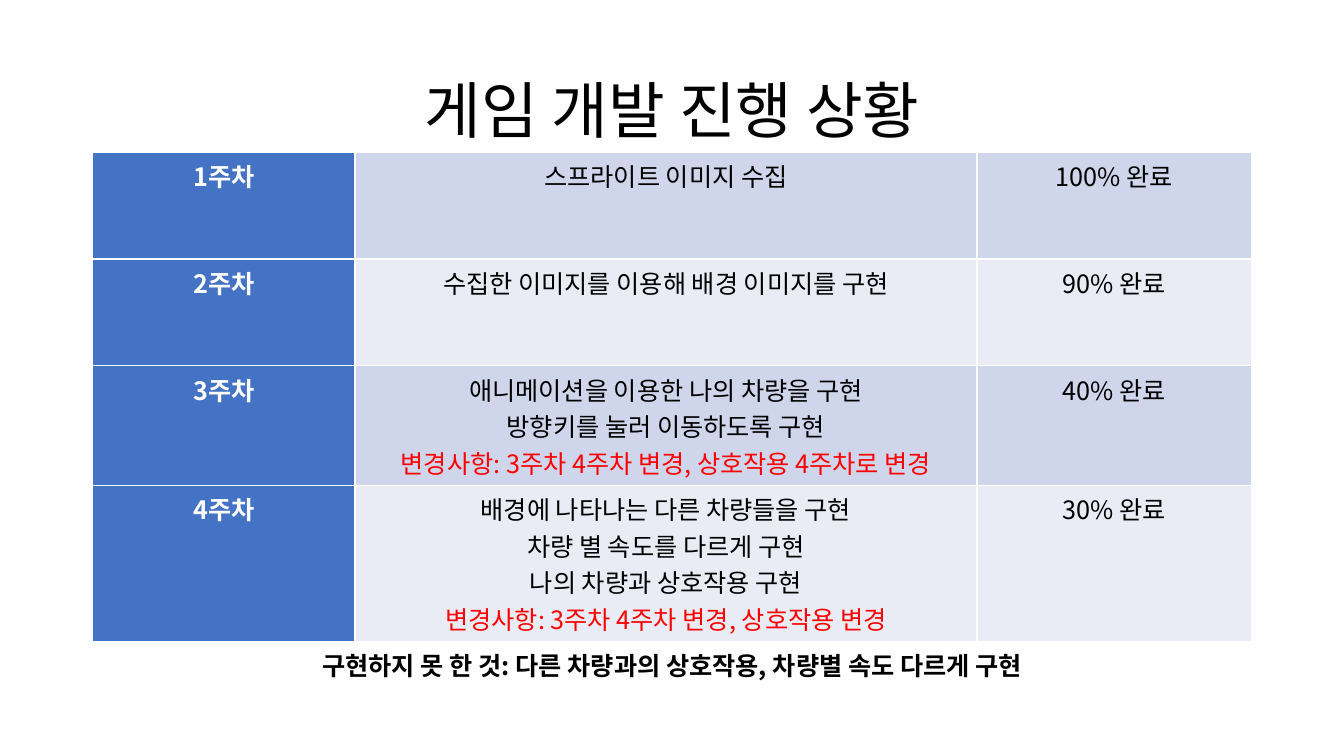
from dataclasses import dataclass

from lxml.etree import SubElement
from pptx import Presentation
from pptx.dml.color import RGBColor
from pptx.enum.text import MSO_ANCHOR, PP_ALIGN
from pptx.oxml.ns import qn
from pptx.util import Inches, Pt

FONT = "Noto Sans CJK KR"
COLORS = {
    "black": "000000",
    "white": "FFFFFF",
    "red": "FF0000",
    "header": "4472C4",
    "odd": "CFD5EA",
    "even": "E9EBF5",
}


@dataclass(frozen=True)
class Week:
    tasks: tuple[str, ...]
    progress: int
    change: str = ""


WEEKS = (
    Week(("스프라이트 이미지 수집",), 100),
    Week(("수집한 이미지를 이용해 배경 이미지를 구현",), 90),
    Week(
        ("애니메이션을 이용한 나의 차량을 구현", "방향키를 눌러 이동하도록 구현"),
        40,
        "변경사항: 3주차 4주차 변경, 상호작용 4주차로 변경",
    ),
    Week(
        ("배경에 나타나는 다른 차량들을 구현", "차량 별 속도를 다르게 구현", "나의 차량과 상호작용 구현"),
        30,
        "변경사항: 3주차 4주차 변경, 상호작용 변경",
    ),
)
UNFINISHED = "구현하지 못 한 것: 다른 차량과의 상호작용, 차량별 속도 다르게 구현"
COLUMN_WIDTHS = (2.6, 6.17, 2.72)
ROW_HEIGHT = 1.06


def add_line(frame, text: str, size: int = 18, color: str = "black", bold: bool = False) -> None:
    """Write one centred line, filling the empty first paragraph before adding more."""
    first = frame.paragraphs[0]
    para = frame.add_paragraph() if first.runs else first
    para.alignment = PP_ALIGN.CENTER
    span = para.add_run()
    span.text = text
    span.font.size = Pt(size)
    span.font.bold = bold
    span.font.color.rgb = RGBColor.from_string(COLORS[color])
    span.font.name = FONT
    SubElement(span.font._element, qn("a:ea"), typeface=FONT)


def style_cell(cell, fill: str | None) -> None:
    """Give a cell white borders and its fill."""
    properties = cell._tc.get_or_add_tcPr()
    for side in ("lnL", "lnR", "lnT", "lnB"):
        border = SubElement(properties, qn(f"a:{side}"), w=str(Pt(1)))
        solid = SubElement(border, qn("a:solidFill"))
        SubElement(solid, qn("a:srgbClr"), val=COLORS["white"])
    if fill:
        cell.fill.solid()
        cell.fill.fore_color.rgb = RGBColor.from_string(COLORS[fill])
    else:
        cell.fill.background()


deck = Presentation()
deck.slide_width, deck.slide_height = Inches(13.33), Inches(7.5)
page = deck.slides.add_slide(deck.slide_layouts[5])

# Title
title = page.shapes.title
title.left, title.top = Inches(0.92), Inches(0.4)
title.width, title.height = Inches(11.5), Inches(1.45)
title.text_frame.vertical_anchor = MSO_ANCHOR.MIDDLE
add_line(title.text_frame, "게임 개발 진행 상황", size=44)
title.text_frame.paragraphs[0].line_spacing = 0.9

# Progress table
row_count = len(WEEKS) + 1
table = page.shapes.add_table(
    row_count, len(COLUMN_WIDTHS), Inches(0.92), Inches(1.51),
    Inches(sum(COLUMN_WIDTHS)), Inches(ROW_HEIGHT * row_count),
).table
table.first_row = table.horz_banding = False
for column, width in zip(table.columns, COLUMN_WIDTHS):
    column.width = Inches(width)
for row in table.rows:
    row.height = Inches(ROW_HEIGHT)

# One row per week
for index, week in enumerate(WEEKS):
    label, work, status = table.rows[index].cells
    band = "even" if index % 2 else "odd"
    for cell, fill in ((label, "header"), (work, band), (status, band)):
        style_cell(cell, fill)
    add_line(label.text_frame, f"{index + 1}주차", color="white", bold=True)
    for task in week.tasks:
        add_line(work.text_frame, task)
    if week.change:
        add_line(work.text_frame, week.change, color="red")
    add_line(status.text_frame, f"{week.progress}% 완료")

# Closing row across all columns
closing = table.cell(row_count - 1, 0)
closing.merge(table.cell(row_count - 1, len(COLUMN_WIDTHS) - 1))
for cell in table.rows[row_count - 1].cells:
    style_cell(cell, None)
add_line(closing.text_frame, UNFINISHED, bold=True)

deck.save("out.pptx")
